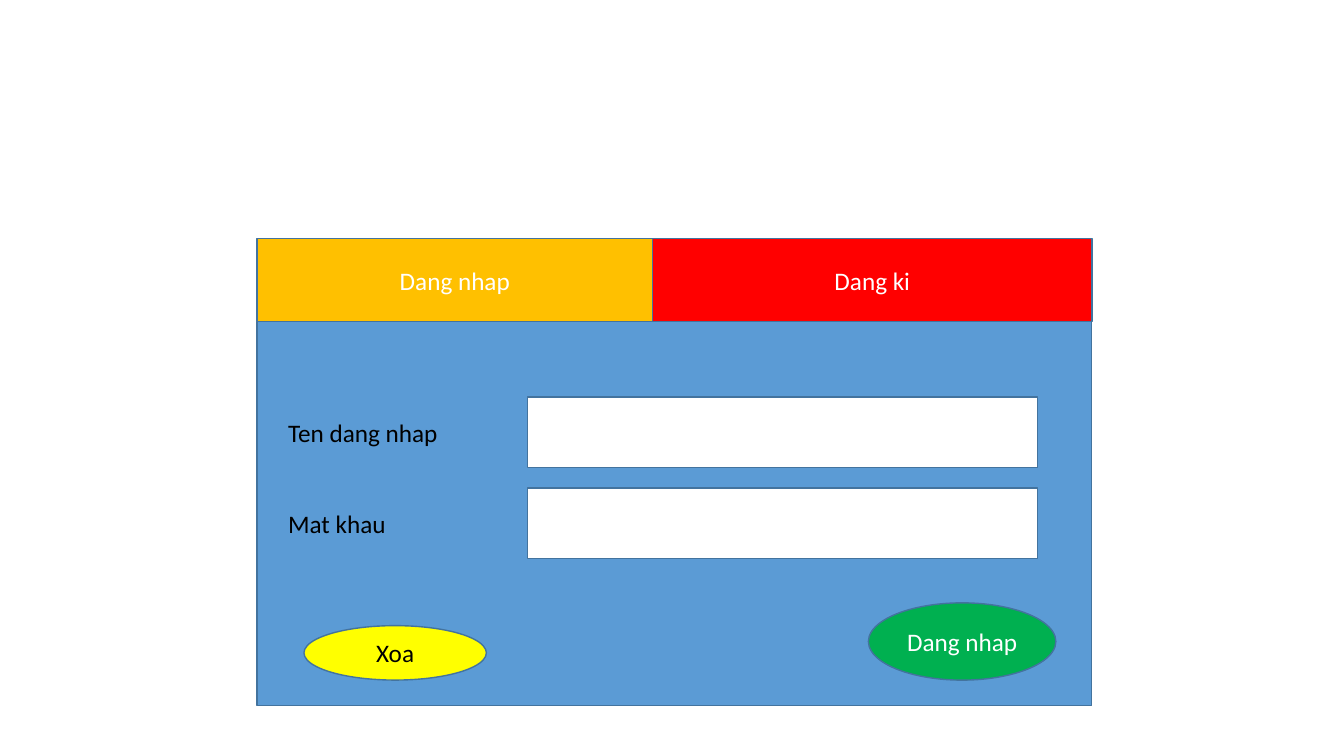
from pptx import Presentation
from pptx.dml.color import RGBColor
from pptx.enum import shapes, text
from pptx.util import Pt

BLUE = RGBColor(0x5B, 0x9B, 0xD5)
OUTLINE = RGBColor(0x43, 0x73, 0x9E)
AMBER = RGBColor(0xFF, 0xC0, 0x00)
RED = RGBColor(0xFF, 0x00, 0x00)
GREEN = RGBColor(0x00, 0xB0, 0x50)
YELLOW = RGBColor(0xFF, 0xFF, 0x00)
WHITE = RGBColor(0xFF, 0xFF, 0xFF)
BLACK = RGBColor(0x00, 0x00, 0x00)

RECTANGLE = shapes.MSO_SHAPE.RECTANGLE
OVAL = shapes.MSO_SHAPE.OVAL

PANEL_LEFT, PANEL_TOP, PANEL_WIDTH, PANEL_HEIGHT = 183.6, 229.7, 596.3, 274.3
TAB_HEIGHT = 59.2
LOGIN_TAB_WIDTH = 282.6
FIELD_TOP, FIELD_STEP = 283.7, 64.8
LABEL_DROP = 10.8


def write(shape, words, color=WHITE, align=text.PP_ALIGN.CENTER,
          anchor=text.MSO_ANCHOR.MIDDLE, size=18, font="Calibri"):
    frame = shape.text_frame
    frame.word_wrap = True
    frame.vertical_anchor = anchor
    para = frame.paragraphs[0]
    para.alignment = align
    span = para.add_run()
    span.text = words
    span.font.name = font
    span.font.size = Pt(size)
    span.font.color.rgb = color


def add_block(page, kind, left, top, width, height, fill):
    block = page.shapes.add_shape(kind, Pt(left), Pt(top), Pt(width), Pt(height))
    block.shadow.inherit = False
    block.fill.solid()
    block.fill.fore_color.rgb = fill
    block.line.color.rgb = OUTLINE
    block.line.width = Pt(1)
    return block


def add_field(page, label, top):
    add_block(page, RECTANGLE, 376.6, top, 364.3, 50.4, WHITE)
    box = page.shapes.add_textbox(Pt(198.7), Pt(top + LABEL_DROP), Pt(138.2), Pt(29))
    write(box, label, color=BLACK, align=text.PP_ALIGN.LEFT,
          anchor=text.MSO_ANCHOR.TOP)
    box.text_frame.auto_size = text.MSO_AUTO_SIZE.SHAPE_TO_FIT_TEXT


def add_tabs(page):
    left = PANEL_LEFT
    tabs = [("Dang nhap", LOGIN_TAB_WIDTH, AMBER),
            ("Dang ki", PANEL_WIDTH - LOGIN_TAB_WIDTH, RED)]
    for label, width, fill in tabs:
        tab = add_block(page, RECTANGLE, left, PANEL_TOP - TAB_HEIGHT,
                        width, TAB_HEIGHT, fill)
        write(tab, label)
        left += width


def main():
    deck = Presentation()
    deck.slide_width, deck.slide_height = Pt(960), Pt(540)
    page = deck.slides.add_slide(deck.slide_layouts[6])

    add_block(page, RECTANGLE, PANEL_LEFT, PANEL_TOP, PANEL_WIDTH, PANEL_HEIGHT, BLUE)
    add_tabs(page)
    for row, label in enumerate(["Ten dang nhap", "Mat khau"]):
        add_field(page, label, FIELD_TOP + row * FIELD_STEP)

    login = add_block(page, OVAL, 620.3, 430.6, 133.9, 55.2, GREEN)
    write(login, "Dang nhap")
    clear = add_block(page, OVAL, 217.1, 446.9, 130.3, 38.9, YELLOW)
    write(clear, "Xoa", color=BLACK)

    deck.save("out.pptx")


if __name__ == "__main__":
    main()
